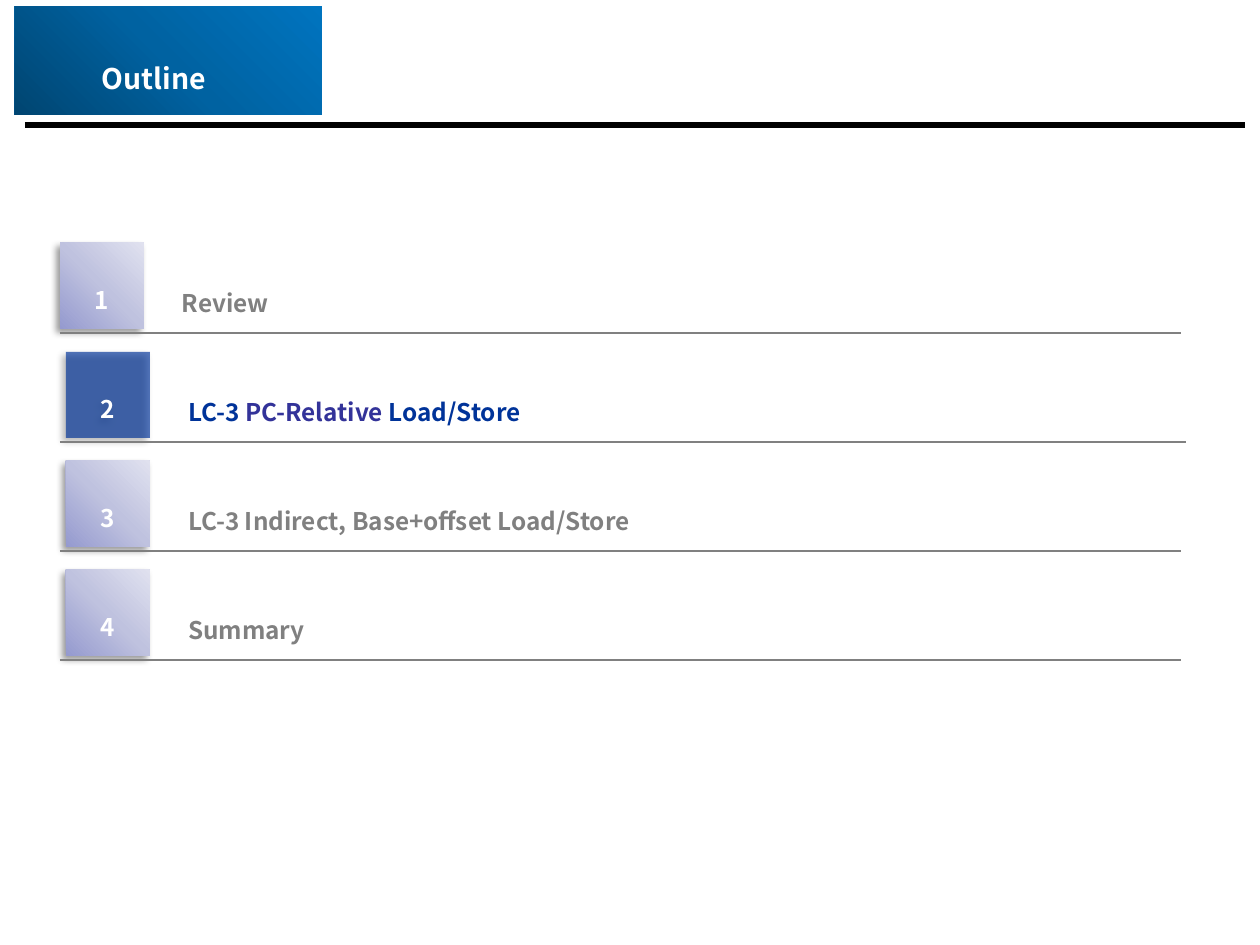
from lxml import etree
from pptx import Presentation
from pptx.dml.color import RGBColor
from pptx.enum.shapes import MSO_CONNECTOR, MSO_SHAPE
from pptx.enum.text import MSO_ANCHOR, MSO_AUTO_SIZE, PP_ALIGN
from pptx.oxml import parse_xml
from pptx.oxml.ns import qn
from pptx.util import Pt

PX = 914400 // 126
NS = 'xmlns:a="http://schemas.openxmlformats.org/drawingml/2006/main"'
FONT = "Noto Sans CJK SC"
RECT, STRAIGHT = MSO_SHAPE.RECTANGLE, MSO_CONNECTOR.STRAIGHT
MIDDLE, CENTER, LEFT = MSO_ANCHOR.MIDDLE, PP_ALIGN.CENTER, PP_ALIGN.LEFT
GROW, NO_FIT = MSO_AUTO_SIZE.SHAPE_TO_FIT_TEXT, MSO_AUTO_SIZE.NONE

BLACK = RGBColor(0x00, 0x00, 0x00)
WHITE = RGBColor(0xFF, 0xFF, 0xFF)
GRAY = RGBColor(0x80, 0x80, 0x80)
NAVY = RGBColor(0x00, 0x33, 0x99)
INDIGO = RGBColor(0x33, 0x33, 0x99)
HEADER_STOPS = [RGBColor(0x00, 0x45, 0x71), RGBColor(0x00, 0x62, 0xA1), RGBColor(0x00, 0x74, 0xBF)]
TILE_STOPS = [RGBColor(0x95, 0x9A, 0xCF), RGBColor(0xBF, 0xC2, 0xDF), RGBColor(0xE0, 0xE1, 0xEF)]

HEADER_PATH = '<a:path path="circle"><a:fillToRect t="100000" r="100000"/></a:path>'
TILE_ANGLE = '<a:lin ang="18900000" scaled="1"/>'
SHADOW = (f'<a:effectLst {NS}><a:outerShdw blurRad="50800" dist="38100" dir="8100000">'
          '<a:srgbClr val="000000"><a:alpha val="40000"/></a:srgbClr></a:outerShdw></a:effectLst>')
NO_EFFECT = f'<a:effectLst {NS}/>'

prs = Presentation()
prs.slide_width, prs.slide_height = 1260 * PX, 945 * PX
s = prs.slides.add_slide(prs.slide_layouts[6])


def add_box(x, y, w, h, fill, runs=(), size=24, align=LEFT, inset=(0, 0), fit=NO_FIT,
            wrap=True, spacing=None, shadow=False):
    """Rectangle with an RGBColor, gradient (stops, direction XML) or no fill, and lowered text."""
    sp = s.shapes.add_shape(RECT, x * PX, y * PX, w * PX, h * PX)
    sp.shadow.inherit = False
    sp.line.fill.background()
    if fill is None:
        sp.fill.background()
    elif isinstance(fill, RGBColor):
        sp.fill.solid()
        sp.fill.fore_color.rgb = fill
    else:
        stops, direction = fill
        gs = "".join(f'<a:gs pos="{i * 50000}"><a:srgbClr val="{c}"/></a:gs>'
                     for i, c in enumerate(stops))
        grad = parse_xml(f'<a:gradFill {NS} rotWithShape="1"><a:gsLst>{gs}</a:gsLst>{direction}</a:gradFill>')
        sp._element.spPr.find(qn("a:prstGeom")).addnext(grad)
    if shadow:
        effects = sp._element.spPr.find(qn("a:effectLst"))
        effects.getparent().replace(effects, parse_xml(SHADOW))
    tf = sp.text_frame
    mx, my = inset
    frame = dict(margin_left=mx * PX, margin_right=mx * PX, margin_top=my * PX,
                 margin_bottom=my * PX, vertical_anchor=MIDDLE, word_wrap=wrap, auto_size=fit)
    for name, value in frame.items():
        setattr(tf, name, value)
    p = tf.paragraphs[0]
    p.alignment, p.line_spacing = align, spacing
    for text, color in runs:
        r = p.add_run()
        r.text = text
        for name, value in dict(name=FONT, size=Pt(size), bold=True).items():
            setattr(r.font, name, value)
        r.font.color.rgb = color
        rPr = r._r.get_or_add_rPr()
        rPr.set("baseline", "-25000")
        rPr.find(qn("a:latin")).addnext(parse_xml(f'<a:ea {NS} typeface="{FONT}"/>'))
    return sp


def add_rule(x1, x2, y, color, width, effects):
    cn = s.shapes.add_connector(STRAIGHT, x1 * PX, y * PX, x2 * PX, y * PX)
    cn.line.color.rgb = color
    cn.line.width = Pt(width)
    cn._element.spPr.append(parse_xml(effects))


# Header
add_rule(25, 1245, 125, BLACK, 3.75, NO_EFFECT)
add_box(15, 6, 307, 109, (HEADER_STOPS, HEADER_PATH))
add_box(15, 32, 278, 59, None, [("Outline", WHITE)], size=28, align=CENTER, fit=GROW)

# Agenda rows: numbered tile, label, rule; the current topic is highlighted
TOP, PITCH = 243, 109
CURRENT = 2
topics = [
    [("Review", GRAY)],
    [("LC-3 ", NAVY), ("PC-Relative ", INDIGO), ("Load/Store", NAVY)],
    [("LC-3 Indirect, Base+offset Load/Store", GRAY)],
    [("Summary", GRAY)],
]
for number, topic in enumerate(topics, 1):
    y = TOP + (number - 1) * PITCH
    x = 60 if number == 1 else 66
    current = number == CURRENT
    add_box(x + 108, y + 14, 1190 - x - 108, 60, WHITE, topic, inset=(14, 7), fit=GROW, spacing=0.9)
    tile = add_box(x, y, 84, 86, NAVY if current else (TILE_STOPS, TILE_ANGLE),
                   [(str(number), WHITE)], align=CENTER, wrap=False, shadow=True)
    add_rule(60, 1181, y + 90, GRAY, 0.75, SHADOW)
    if current:
        clr = tile._element.spPr.find(qn("a:solidFill")).find(qn("a:srgbClr"))
        etree.SubElement(clr, qn("a:alpha")).set("val", "67000")
        add_rule(66, 1186, y + 90, GRAY, 0.75, SHADOW)

prs.save("out.pptx")
